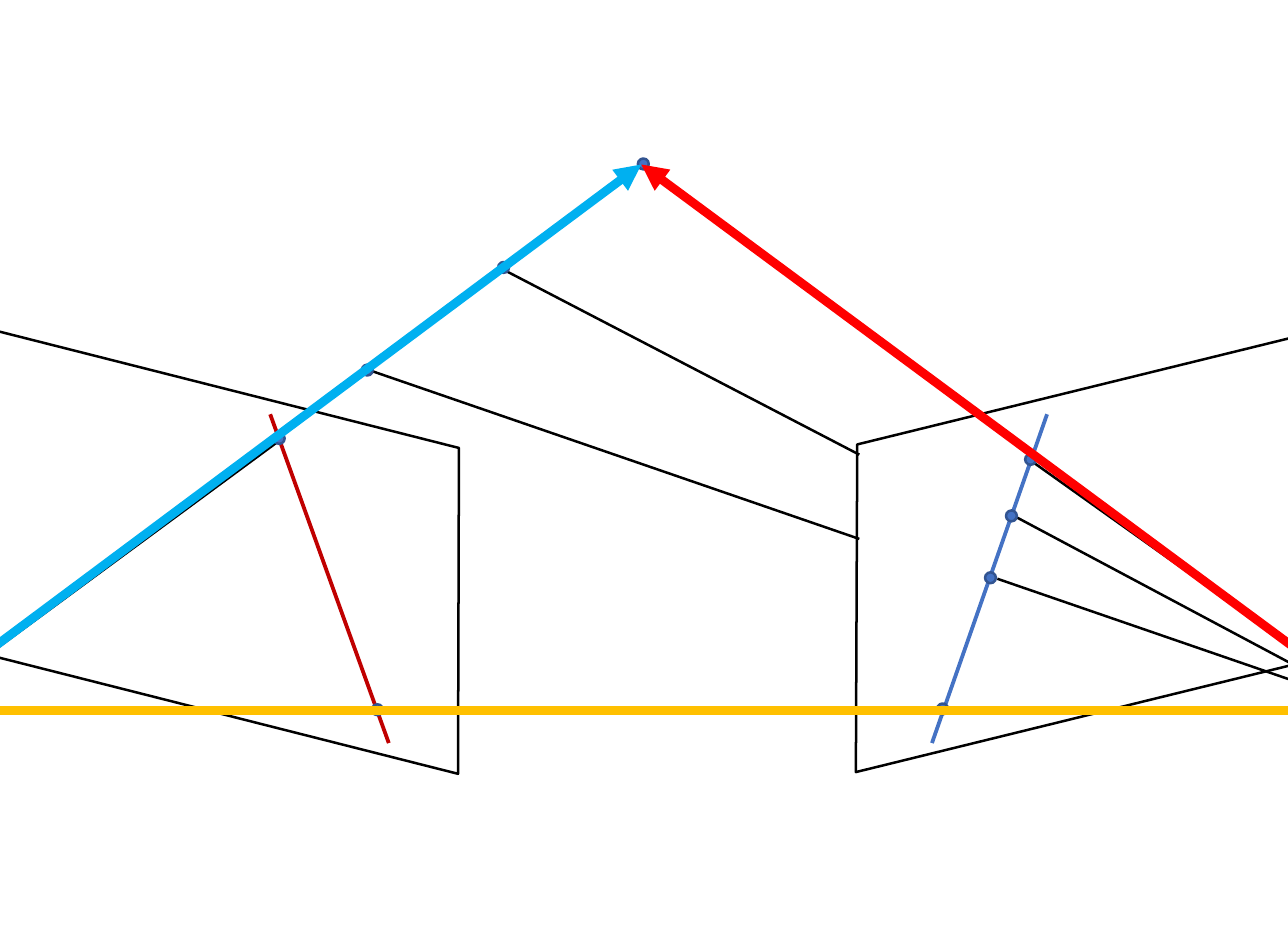
import pptx
import pptx.dml.color
import pptx.enum.shapes
import pptx.oxml.ns
import pptx.util
from lxml import etree

SHAPE = pptx.enum.shapes.MSO_SHAPE
BLACK, WHITE = "000000", "FFFFFF"
DOT_FILL, DOT_EDGE, DOT_SIZE = "4472C4", "325491", 4.3
THIN, MEDIUM, THICK = 1, 1.5, 3.5

LEFT_CAMERA = (-36, 281.5)
RIGHT_CAMERA = (546.5, 281.5)
APEX = (254.2, 65.2)


def color(text):
    return pptx.dml.color.RGBColor.from_string(text)


def add_child(parent, tag, **attributes):
    return etree.SubElement(parent, pptx.oxml.ns.qn(tag), **attributes)


class Diagram:
    def __init__(self, width, height):
        self.deck = pptx.Presentation()
        self.deck.slide_width = pptx.util.Pt(width)
        self.deck.slide_height = pptx.util.Pt(height)
        self.slide = self.deck.slides.add_slide(self.deck.slide_layouts[6])

    def shape(self, kind, left, top, width, height, fill=None, edge=BLACK):
        lengths = [pptx.util.Pt(value) for value in (left, top, width, height)]
        shape = self.slide.shapes.add_shape(kind, *lengths)
        shape.shadow.inherit = False
        if fill:
            shape.fill.solid()
            shape.fill.fore_color.rgb = color(fill)
        else:
            shape.fill.background()
        shape.line.color.rgb = color(edge)
        shape.line.width = pptx.util.Pt(THIN)
        return shape

    def image_plane(self, left, top, width, height, rotation, flipped=False):
        plane = self.shape(SHAPE.PARALLELOGRAM, left, top, width, height, WHITE)
        plane.rotation = rotation
        if flipped:
            plane.element.spPr.xfrm.set("flipH", "1")

    def dot(self, x, y):
        """Draw a small dot centred on the given point."""
        self.shape(SHAPE.OVAL, x - DOT_SIZE / 2, y - DOT_SIZE / 2,
                   DOT_SIZE, DOT_SIZE, DOT_FILL, DOT_EDGE)

    def line(self, start, end, stroke=BLACK, width=THIN, arrow=False):
        ends = [pptx.util.Pt(value) for value in (*start, *end)]
        line = self.slide.shapes.add_connector(
            pptx.enum.shapes.MSO_CONNECTOR.STRAIGHT, *ends)
        line.line.color.rgb = color(stroke)
        line.line.width = pptx.util.Pt(width)
        if arrow:
            add_child(line.line._get_or_add_ln(), "a:tailEnd", type="triangle")
        add_child(line.element.spPr, "a:effectLst")


def main():
    diagram = Diagram(510.5, 368.6)

    diagram.shape(SHAPE.ISOSCELES_TRIANGLE, -36, 64.8, 582.5, 216.7)
    diagram.image_plane(320.4, 150.5, 262.8, 126, 346.2)
    diagram.image_plane(-60.5, 151.2, 261.4, 125.3, 194.2, flipped=True)

    sight_lines = [
        ((-4.3, 259.2), (112.3, 173.5)),
        ((85, 281.5), (146.9, 281.5)),
        ((518.4, 260.6), (407.5, 181.8)),
        ((439.9, 281.5), (372.2, 281.5)),
        ((340.6, 213.6), (146.9, 146.9)),
        (RIGHT_CAMERA, (395.3, 229.4)),
        ((340.6, 180.2), (200.9, 107.6)),
        (RIGHT_CAMERA, (400.6, 203.8)),
    ]
    for start, end in sight_lines:
        diagram.line(start, end)

    diagram.line((107.1, 164.2), (154.1, 294.5), "C00000", MEDIUM)
    diagram.line((415, 164.2), (369.4, 294.5), "4472C4", MEDIUM)

    dots = [
        (145.6, 146.7), (110.7, 173.8), (199.6, 106), (255, 65),
        (149.6, 281.3), (373.6, 281), (392.6, 229), (400.9, 204.5),
        (408.5, 182.1),
    ]
    for x, y in dots:
        diagram.dot(x, y)

    rays = [
        (LEFT_CAMERA, APEX, "00B0F0"),
        (RIGHT_CAMERA, APEX, "FF0000"),
        (RIGHT_CAMERA, LEFT_CAMERA, "FFC000"),
    ]
    for start, end, stroke in rays:
        diagram.line(start, end, stroke, THICK, arrow=True)

    diagram.deck.save("out.pptx")


if __name__ == "__main__":
    main()
